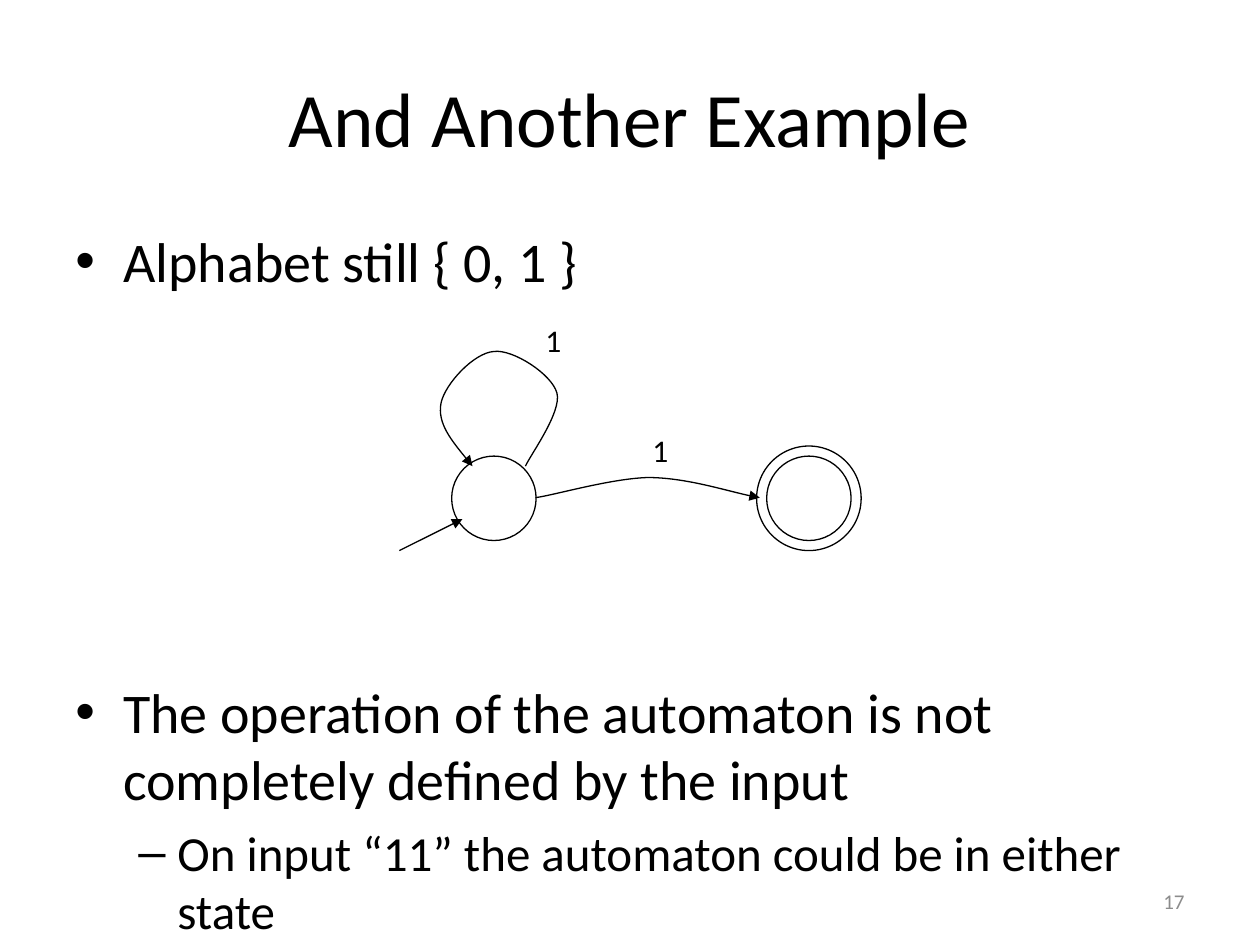
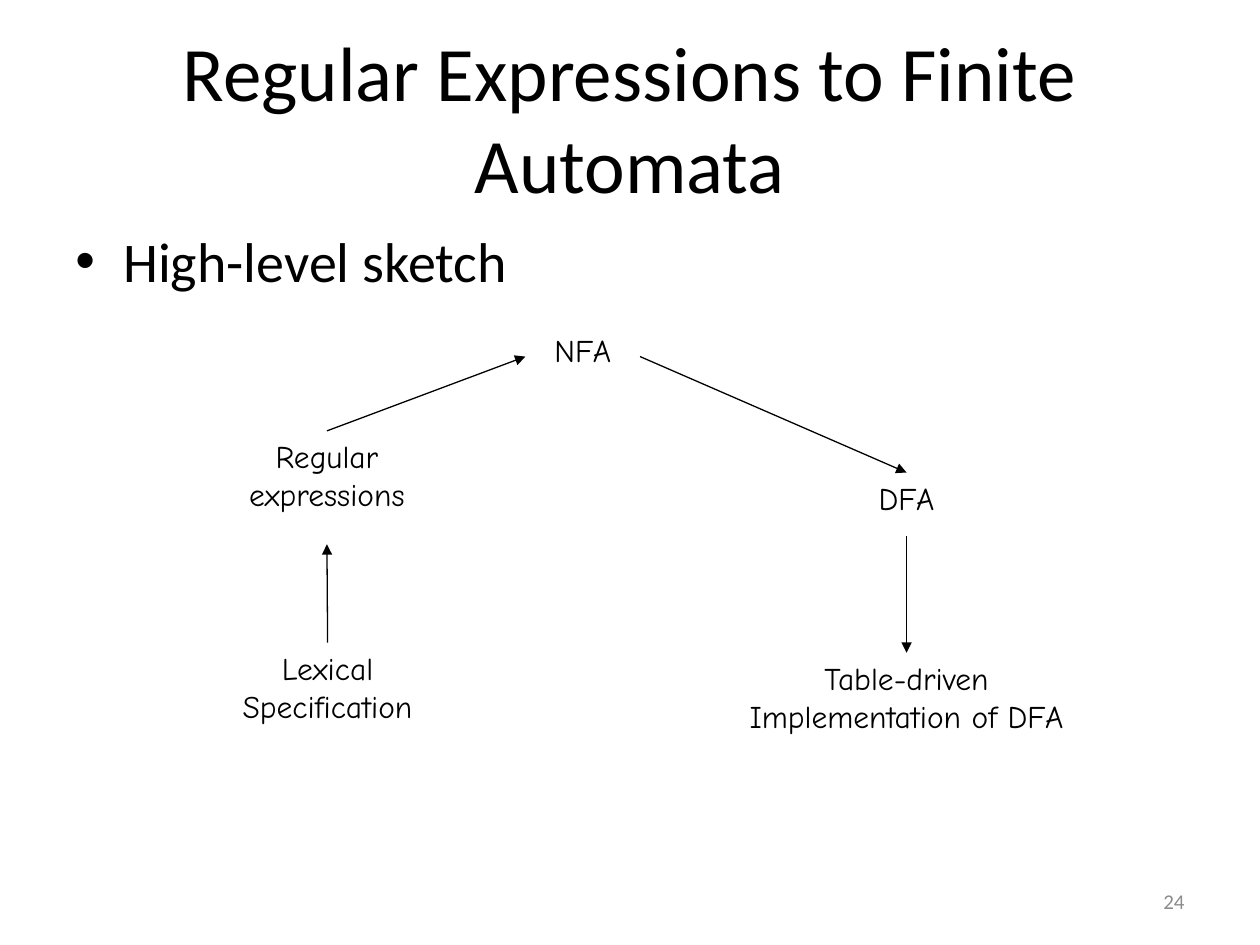
from lxml.etree import SubElement
from pptx import Presentation
from pptx.dml.color import RGBColor
from pptx.enum.shapes import MSO_CONNECTOR as CONNECTOR, MSO_SHAPE as SHAPE
from pptx.enum.text import MSO_ANCHOR as ANCHOR, PP_ALIGN as ALIGN
from pptx.oxml.ns import qn
from pptx.util import Pt

PX = 9144
BLACK = RGBColor(0x00, 0x00, 0x00)
GRAY = RGBColor(0x8C, 0x8C, 0x8C)
TEXT_FONT = "Calibri"
SKETCH_FONT = "Comic Neue"
BULLET = ("•", 38, -38)
DASH = ("–", 81, -31)


def add_text(slide, box, lines, size, align=ALIGN.LEFT, anchor=ANCHOR.TOP,
             font=TEXT_FONT, color=BLACK):
    shape = slide.shapes.add_textbox(*(value * PX for value in box))
    frame = shape.text_frame
    frame.word_wrap = True
    frame.vertical_anchor = anchor
    for index, line in enumerate(lines):
        paragraph = frame.add_paragraph() if index else frame.paragraphs[0]
        paragraph.alignment = align
        run = paragraph.add_run()
        run.text = line
        run.font.size = Pt(size)
        run.font.name = font
        run.font.color.rgb = color
    return shape


def style_outline(shape, arrow):
    shape.line.color.rgb = BLACK
    shape.line.width = Pt(0.75)
    properties = shape.element.spPr
    if arrow:
        SubElement(properties.find(qn("a:ln")), qn("a:tailEnd"), type="triangle")
    SubElement(properties, qn("a:effectLst"))


presentation = Presentation()
presentation.slide_width = 1000 * PX
presentation.slide_height = 750 * PX

pages = [
    ("17", "And Another Example", (50, 175, 900, 495), [
        ("Alphabet still { 0, 1 }", 32, BULLET, 0),
        ("The operation of the automaton is not completely defined by the input",
         32, BULLET, 219),
        ("On input “11” the automaton could be in either state", 28, DASH, 6),
    ]),
    ("24", "Regular Expressions to Finite Automata", (50, 175, 908, 58), [
        ("High-level sketch", 32, BULLET, 0),
    ]),
]
slides = []
for number, title, body_box, items in pages:
    slide = presentation.slides.add_slide(presentation.slide_layouts[6])
    slides.append(slide)
    add_text(slide, (717, 695, 233, 40), [number], 12, ALIGN.RIGHT, ANCHOR.MIDDLE,
             color=GRAY)
    add_text(slide, (50, 30, 900, 125), [title], 44, ALIGN.CENTER, ANCHOR.MIDDLE)
    body = add_text(slide, body_box, [item[0] for item in items], 32)
    for paragraph, item in zip(body.text_frame.paragraphs, items):
        text, size, (mark, margin, indent), space = item
        paragraph.space_before = Pt(space)
        paragraph.runs[0].font.size = Pt(size)
        properties = paragraph._p.get_or_add_pPr()
        properties.set("marL", str(margin * PX))
        properties.set("indent", str(indent * PX))
        SubElement(properties, qn("a:buFont"), typeface="Arial")
        SubElement(properties, qn("a:buChar"), char=mark)

automaton, sketch = slides

for center_x, diameter in [(392, 67), (642, 67), (642, 83)]:
    state = automaton.shapes.add_shape(
        SHAPE.OVAL, round((center_x - diameter / 2) * PX),
        round((395.5 - diameter / 2) * PX), diameter * PX, diameter * PX)
    state.fill.background()
    style_outline(state, False)

transitions = [
    [(425, 395), (440, 393), (484, 380), (514, 379),
     (544, 379), (584, 392), (603, 395)],
    [(417, 370), (421, 361), (446, 327), (442, 312),
     (438, 297), (407, 277), (392, 279),
     (376, 280), (353, 305), (350, 320),
     (347, 336), (361, 353), (375, 370)],
]
for points in transitions:
    builder = automaton.shapes.build_freeform(*points[0], scale=PX)
    builder.add_line_segments(points[1:], close=False)
    curve = builder.convert_to_shape()
    curve.fill.background()
    style_outline(curve, True)
    outline = next(curve.element.iter(qn("a:path")))
    segments = outline.findall(qn("a:lnTo"))
    for start in range(0, len(segments), 3):
        bezier = SubElement(outline, qn("a:cubicBezTo"))
        for segment in segments[start:start + 3]:
            bezier.append(segment[0])
            outline.remove(segment)

start_arrow = automaton.shapes.add_connector(
    CONNECTOR.STRAIGHT, 317 * PX, 437 * PX, 367 * PX, 412 * PX)
style_outline(start_arrow, True)
for left, top in [(508, 337), (423, 250)]:
    add_text(automaton, (left, top, 37, 50), ["1"], 18)

stages = [
    add_text(sketch, box, lines, 18, ALIGN.CENTER, font=SKETCH_FONT)
    for box, lines in [
        ((147, 510, 226, 90), ["Lexical", "Specification"]),
        ((158, 342, 203, 90), ["Regular", "expressions"]),
        ((417, 258, 91, 50), ["NFA"]),
        ((675, 375, 89, 50), ["DFA"]),
        ((526, 518, 387, 90), ["Table-driven", "Implementation of DFA"]),
    ]
]
sides = [(0, 2), (0, 1), (3, 0), (2, 0)]
for source, target, (begin, end) in zip(stages, stages[1:], sides):
    arrow = sketch.shapes.add_connector(CONNECTOR.STRAIGHT, 0, 0, 0, 0)
    arrow.begin_connect(source, begin)
    arrow.end_connect(target, end)
    style_outline(arrow, True)

presentation.save("out.pptx")
